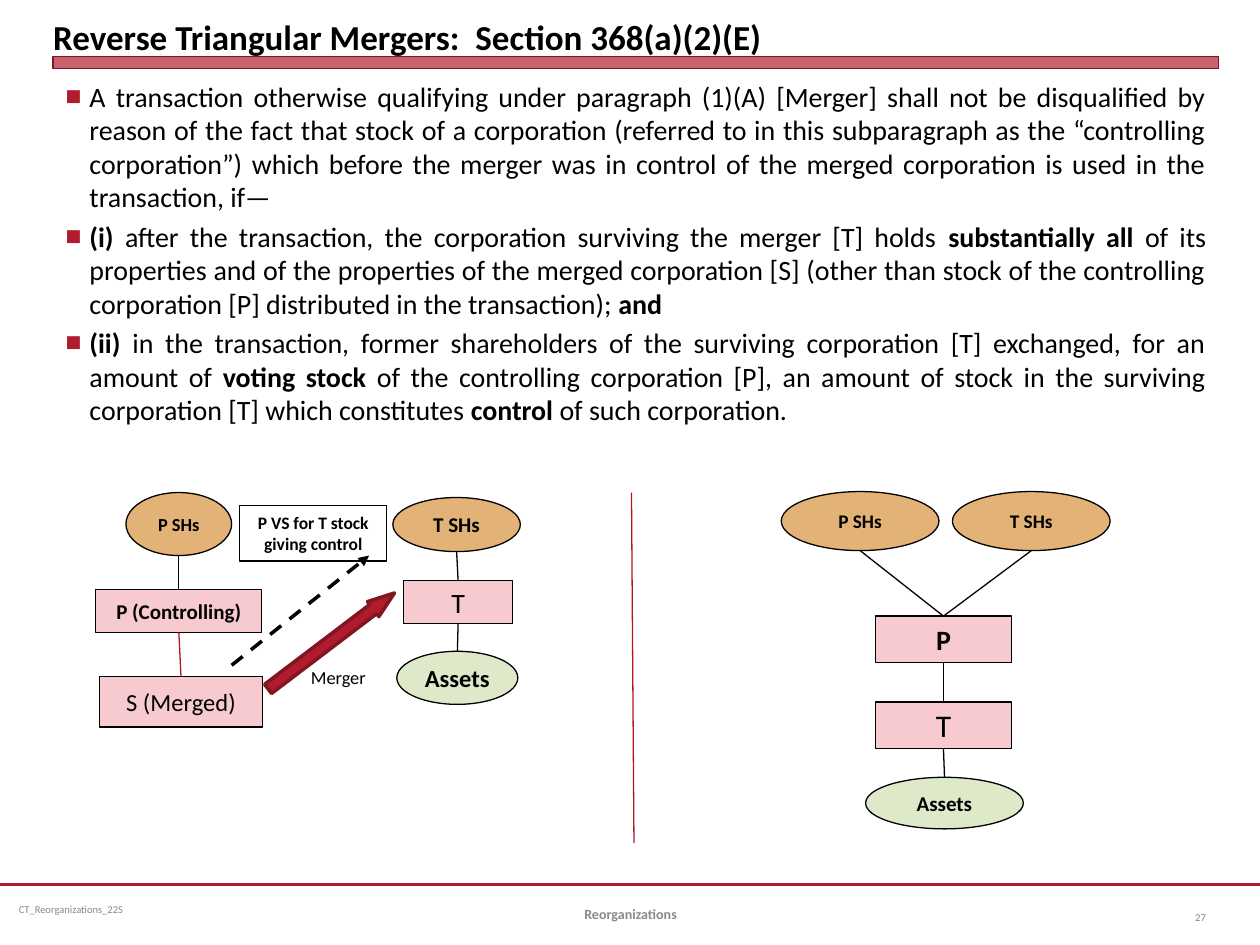
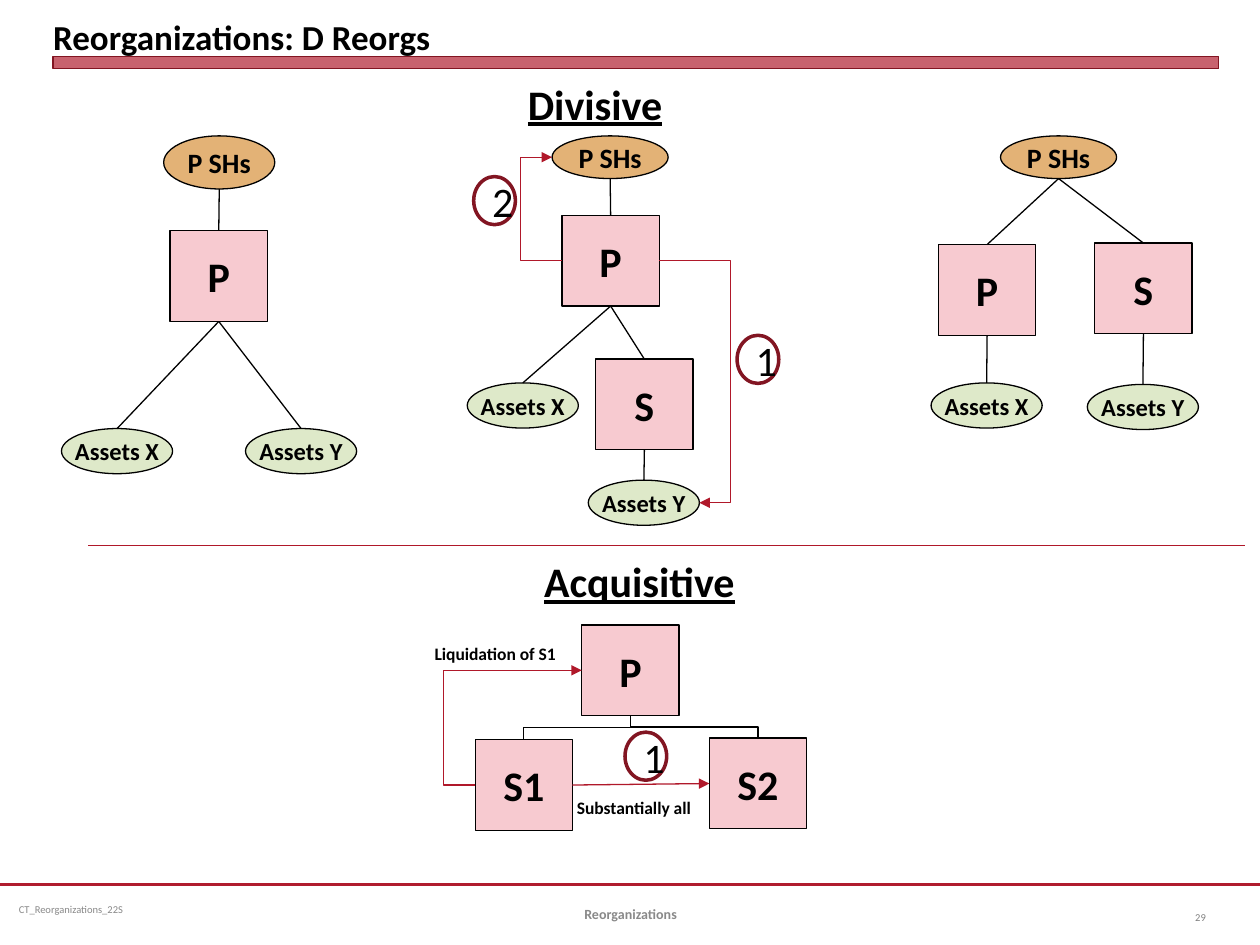
from lxml.etree import SubElement
from pptx import Presentation
from pptx.dml.color import RGBColor
from pptx.enum.dml import MSO_LINE
from pptx.enum.shapes import MSO_CONNECTOR, MSO_SHAPE
from pptx.enum.text import MSO_ANCHOR, MSO_AUTO_SIZE, PP_ALIGN
from pptx.oxml.ns import qn
from pptx.util import Cm, Pt

FONT = "Calibri"
COLORS = {
    "black": "000000",
    "red": "B01C2E",
    "rule": "B0182A",
    "dark_red": "821522",
    "pink": "F7CAD0",
    "tan": "E3B276",
    "green": "DEE9C9",
    "gray": "898989",
    "page_gray": "808080",
}
TITLE_ONLY, TITLE_AND_BODY = 5, 1
LEFT_EDGE, CONTENT_WIDTH = 1.07, 23.5


def color(name):
    return RGBColor.from_string(COLORS[name])


def write(frame, *texts, size=12, bold=False, underline=False, ink="black",
          align=PP_ALIGN.LEFT, anchor=MSO_ANCHOR.TOP, wrap=True,
          grow=False, margins=None):
    """Fill a text frame, one paragraph per text; **marks** switch bold."""
    frame.word_wrap = wrap
    frame.auto_size = MSO_AUTO_SIZE.SHAPE_TO_FIT_TEXT if grow else MSO_AUTO_SIZE.NONE
    frame.vertical_anchor = anchor
    if margins:
        side, top = (Cm(margin) for margin in margins)
        frame.margin_left = frame.margin_right = side
        frame.margin_top = frame.margin_bottom = top
    for index, text in enumerate(texts):
        para = frame.add_paragraph() if index else frame.paragraphs[0]
        para.alignment = align
        for part, words in enumerate(text.split("**")):
            if words:
                span = para.add_run()
                span.text = words
                font = span.font
                font.name, font.size = FONT, Pt(size)
                font.bold = bold or part % 2 == 1
                font.underline = underline
                font.color.rgb = color(ink)


def place(shape, left, top, width, height):
    shape.left, shape.top = Cm(left), Cm(top)
    shape.width, shape.height = Cm(width), Cm(height)


def site(shape, side):
    """Middle of one side of a shape, in cm."""
    across, down = {"top": (0.5, 0), "bottom": (0.5, 1),
                    "left": (0, 0.5), "right": (1, 0.5)}[side]
    return ((shape.left + shape.width * across) / Cm(1),
            (shape.top + shape.height * down) / Cm(1))


class Page:
    """The slide being drawn, in the style all slides share."""

    def __init__(self, deck, layout, title, number):
        self.slide = deck.slides.add_slide(deck.slide_layouts[layout])
        self.shapes = self.slide.shapes
        self.line((0, 17.83), (25.4, 17.83), ink="red", weight=1.25)
        band = self.box(MSO_SHAPE.RECTANGLE, LEFT_EDGE, 1.14, CONTENT_WIDTH, 0.25,
                        fill="red", line="dark_red", weight=0)
        tint = band.fill._xPr.find(qn("a:solidFill"))[0]
        SubElement(tint, qn("a:alpha")).set("val", "69000")
        place(self.shapes.title, LEFT_EDGE, 0.13, CONTENT_WIDTH, 1.02)
        write(self.shapes.title.text_frame, title, size=20, bold=True,
              anchor=MSO_ANCHOR.BOTTOM, margins=(0, 0))
        middle = MSO_ANCHOR.MIDDLE
        self.label("CT_Reorganizations_22S", 0.2, 17.83, 6.55, 1.02, size=6,
                   ink="gray", anchor=middle, margins=(0.18, 0.1))
        self.label("Reorganizations", 8.69, 17.91, 8.05, 1.02, size=8, bold=True,
                   ink="gray", anchor=middle, align=PP_ALIGN.CENTER)
        self.label(number, 23.29, 17.98, 1.27, 1.02, size=6, ink="page_gray",
                   anchor=middle, align=PP_ALIGN.RIGHT)

    def bullets(self, left, top, width, height, *texts):
        body = self.slide.placeholders[1]
        place(body, left, top, width, height)
        write(body.text_frame, *texts, size=16, align=PP_ALIGN.JUSTIFY)
        for para in body.text_frame.paragraphs:
            props = para._p.get_or_add_pPr()
            props.set("marL", str(Cm(0.48)))
            props.set("indent", str(-Cm(0.48)))
            bullet_color = SubElement(props, qn("a:buClr"))
            SubElement(bullet_color, qn("a:srgbClr")).set("val", COLORS["red"])
            SubElement(props, qn("a:buSzPct")).set("val", "60000")
            SubElement(props, qn("a:buFont")).set("typeface", FONT)
            SubElement(props, qn("a:buChar")).set("char", "■")

    def label(self, text, left, top, width, height, **text_format):
        box = self.shapes.add_textbox(Cm(left), Cm(top), Cm(width), Cm(height))
        write(box.text_frame, text, **text_format)

    def box(self, kind, left, top, width, height, text="", fill=None,
            line="black", weight=0.75, **text_format):
        shape = self.shapes.add_shape(kind, Cm(left), Cm(top), Cm(width), Cm(height))
        shape.shadow.inherit = False
        if fill:
            shape.fill.solid()
            shape.fill.fore_color.rgb = color(fill)
        else:
            shape.fill.background()
        shape.line.color.rgb = color(line)
        shape.line.width = Pt(weight)
        if text:
            write(shape.text_frame, text, align=PP_ALIGN.CENTER,
                  anchor=MSO_ANCHOR.MIDDLE, **text_format)
        return shape

    def company(self, text, left, top, width=1.96, height=1.83, size=24, bold=True):
        return self.box(MSO_SHAPE.RECTANGLE, left, top, width, height, text,
                        fill="pink", size=size, bold=bold, wrap=False)

    def holders(self, text, left, top, width=2.34, height=0.86, size=16):
        return self.box(MSO_SHAPE.OVAL, left, top, width, height, text,
                        fill="tan", size=size, bold=True, wrap=False)

    def assets(self, text, left, top, width=2.24, height=0.91, size=14):
        return self.box(MSO_SHAPE.OVAL, left, top, width, height, text,
                        fill="green", size=size, bold=True, wrap=False)

    def step(self, number, left, top):
        self.box(MSO_SHAPE.OVAL, left, top, 0.84, 0.97, number,
                 line="dark_red", weight=2, size=24)

    def line(self, start, end, ink="black", weight=0.75, dashed=False,
             arrow=False, kind=MSO_CONNECTOR.STRAIGHT):
        points = [Cm(value) for value in (*start, *end)]
        connector = self.shapes.add_connector(kind, *points)
        connector.line.color.rgb = color(ink)
        connector.line.width = Pt(weight)
        if dashed:
            connector.line.dash_style = MSO_LINE.DASH
        props = connector._element.spPr
        if arrow:
            SubElement(props.find(qn("a:ln")), qn("a:tailEnd")).set("type", "triangle")
        SubElement(props, qn("a:effectLst"))
        return connector

    def join(self, upper, *lowers, ink="black"):
        for lower in lowers:
            self.line(site(upper, "bottom"), site(lower, "top"), ink=ink)

    def detour(self, source, target, side, turn):
        """Arrow that leaves and enters on one side, turning at x = turn."""
        start, end = site(source, side), site(target, side)
        connector = self.line(start, end, ink="rule", arrow=True,
                              kind=MSO_CONNECTOR.ELBOW)
        geometry = connector._element.spPr.find(qn("a:prstGeom"))
        guides = geometry.find(qn("a:avLst"))
        if guides is None:
            guides = SubElement(geometry, qn("a:avLst"))
        bend = round((turn - start[0]) / (end[0] - start[0]) * 100000)
        guide = SubElement(guides, qn("a:gd"))
        guide.set("name", "adj1")
        guide.set("fmla", f"val {bend}")

    def branch(self, upper, lower):
        """Elbow that drops, crosses and drops: a horizontal one turned upright."""
        (x1, y1), (x2, y2) = site(upper, "bottom"), site(lower, "top")
        middle_x, middle_y = (x1 + x2) / 2, (y1 + y2) / 2
        half_drop, half_span = (y2 - y1) / 2, abs(x2 - x1) / 2
        angle = 90 if x2 < x1 else 270
        if angle == 270:
            half_drop = -half_drop
        connector = self.line((middle_x - half_drop, middle_y - half_span),
                              (middle_x + half_drop, middle_y + half_span),
                              kind=MSO_CONNECTOR.ELBOW)
        frame = connector._element.spPr.find(qn("a:xfrm"))
        frame.set("rot", str(angle * 60000))


def reverse_mergers(deck):
    page = Page(deck, TITLE_AND_BODY,
                "Reverse Triangular Mergers:  Section 368(a)(2)(E)", "27")
    page.bullets(
        LEFT_EDGE, 1.47, CONTENT_WIDTH, 8.05,
        "A transaction otherwise qualifying under paragraph (1)(A) [Merger] shall not "
        "be disqualified by reason of the fact that stock of a corporation (referred to "
        "in this subparagraph as the “controlling corporation”) which before the merger "
        "was in control of the merged corporation is used in the transaction, if—",
        "**(i) **after the transaction, the corporation surviving the merger [T] holds "
        "**substantially all **of its properties and of the properties of the merged "
        "corporation [S] (other than stock of the controlling corporation [P] "
        "distributed in the transaction); **and**",
        "**(ii) **in the transaction, former shareholders of the surviving corporation "
        "[T] exchanged, for an amount of **voting stock **of the controlling corporation "
        "[P], an amount of stock in the surviving corporation [T] which constitutes "
        "**control** of such corporation.")

    parent_holders = page.holders("P SHs", 2.54, 9.93, 2.13, 1.27, size=10.5)
    parent = page.company("P (Controlling)", 1.93, 11.89, 3.35, 0.86, size=12)
    merged = page.company("S (Merged)", 2.01, 13.64, 3.28, 1.02, size=14, bold=False)
    page.join(parent_holders, parent)
    page.join(parent, merged, ink="rule")

    target_holders = page.holders("T SHs", 7.92, 10.03, 2.57, 1.09, size=12)
    target = page.company("T", 8.13, 11.71, 2.21, 0.86, size=16, bold=False)
    target_assets = page.assets("Assets", 8, 13.13, 2.44, 1.07)
    page.join(target_holders, target)
    page.join(target, target_assets)

    page.line((4.67, 13.41), (7.44, 11.2), weight=2, dashed=True, arrow=True)
    page.box(MSO_SHAPE.RECTANGLE, 4.83, 10.19, 2.97, 1.12,
             "P VS for T stock giving control", size=10, bold=True, grow=True)
    merger = page.box(MSO_SHAPE.RIGHT_ARROW, 5.08, 12.73, 3.2, 0.38,
                      fill="red", line="dark_red", weight=2)
    merger.rotation = 322.8
    merger.adjustments[0], merger.adjustments[1] = 0.61, 1.42
    page.label("Merger", 6.02, 13.31, 2.69, 0.74, size=10.5, grow=True)
    page.line((12.73, 9.93), (12.78, 16.99), ink="rule")

    parent = page.company("P", 17.65, 12.42, 2.74, 0.94, size=16)
    target = page.company("T", 17.65, 14.15, 2.74, 0.94, size=18, bold=False)
    target_assets = page.assets("Assets", 17.45, 15.67, 3.18, 1.04, size=12)
    for text, left in (("P SHs", 15.75), ("T SHs", 19.2)):
        page.join(page.holders(text, left, 9.91, 3.18, 1.19, size=11), parent)
    page.join(parent, target)
    page.join(target, target_assets)


def d_reorganizations(deck):
    page = Page(deck, TITLE_ONLY, "Reorganizations: D Reorgs", "29")
    heading = {"size": 24, "bold": True, "underline": True, "wrap": False, "grow": True}
    page.label("Divisive", 10.39, 1.45, 3.25, 1.27, **heading)
    page.label("Acquisitive", 10.72, 11.07, 4.39, 1.27, **heading)
    page.line((1.78, 11), (25.1, 11), ink="rule")

    # Before the division
    holders = page.holders("P SHs", 3.3, 2.74, 2.24, 1.07)
    parent = page.company("P", 3.43, 4.65)
    page.join(holders, parent)
    page.join(parent, page.assets("Assets X", 1.24, 8.64),
              page.assets("Assets Y", 4.95, 8.64))

    # Transfer to S and distribution of its stock
    holders = page.holders("P SHs", 11.13, 2.74)
    parent = page.company("P", 11.33, 4.34)
    subsidiary = page.company("S", 12.01, 7.24)
    assets_y = page.assets("Assets Y", 11.86, 9.68)
    page.join(holders, parent)
    page.join(parent, page.assets("Assets X", 9.42, 7.72), subsidiary)
    page.join(subsidiary, assets_y)
    page.detour(parent, assets_y, "right", 14.73)
    page.detour(parent, holders, "left", 10.49)
    page.step("1", 14.86, 6.76)
    page.step("2", 9.55, 3.56)

    # After the division
    holders = page.holders("P SHs", 20.17, 2.74)
    parent = page.company("P", 18.92, 4.93)
    subsidiary = page.company("S", 22.07, 4.9)
    page.join(holders, parent, subsidiary)
    page.join(parent, page.assets("Assets X", 18.77, 7.72))
    page.join(subsidiary, page.assets("Assets Y", 21.92, 7.75))

    # Acquisitive
    parent = page.company("P", 11.73, 12.6)
    seller = page.company("S1", 9.58, 14.91)
    buyer = page.company("S2", 14.3, 14.88)
    page.branch(parent, seller)
    page.branch(parent, buyer)
    page.step("1", 12.6, 14.76)
    page.line(site(seller, "right"), site(buyer, "left"), ink="rule", arrow=True)
    page.detour(seller, parent, "left", 8.94)
    caption = {"size": 10, "bold": True, "wrap": False, "grow": True}
    page.label("Substantially all", 11.38, 15.95, 2.87, 0.69, **caption)
    page.label("Liquidation of S1", 8.51, 12.83, 3, 0.69, **caption)


def main():
    deck = Presentation()
    deck.slide_width, deck.slide_height = Cm(25.4), Cm(19.05)
    reverse_mergers(deck)
    d_reorganizations(deck)
    deck.save("out.pptx")


if __name__ == "__main__":
    main()
